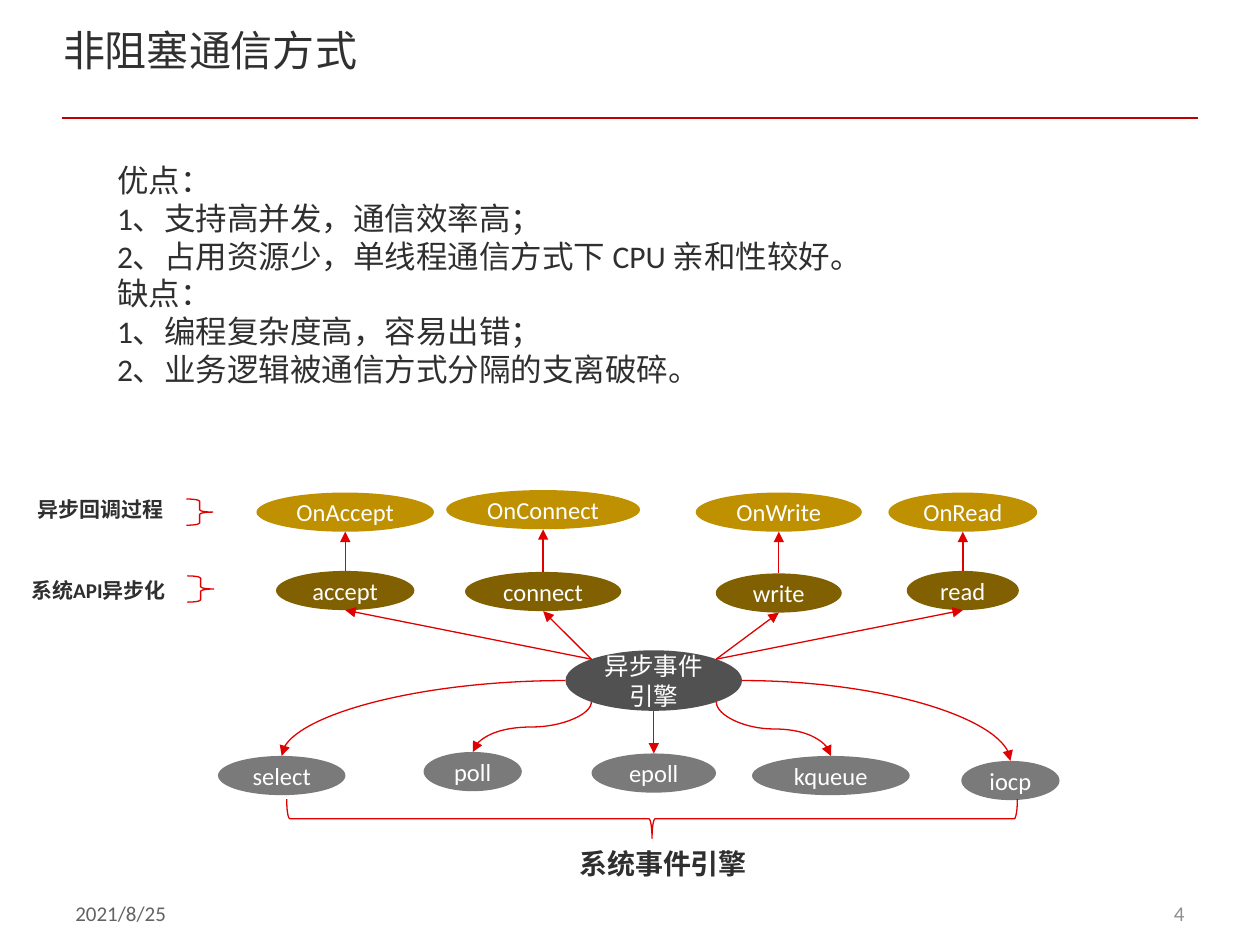
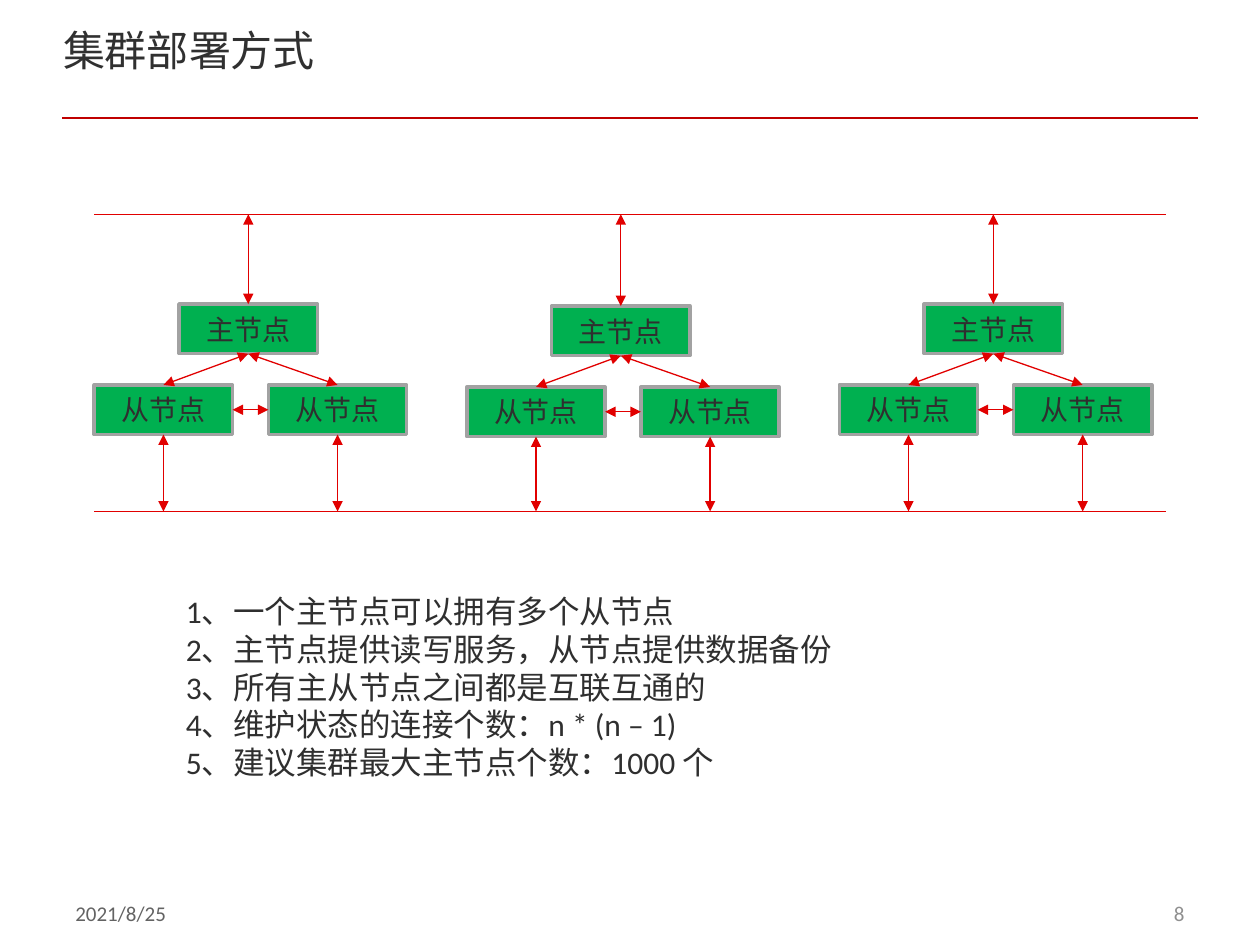
import pptx
import pptx.util
import pptx.dml.color
import pptx.enum.shapes
import pptx.enum.text
import pptx.oxml.ns
from lxml import etree

Cm, Pt = pptx.util.Cm, pptx.util.Pt
SHAPE = pptx.enum.shapes.MSO_SHAPE
LINK = pptx.enum.shapes.MSO_CONNECTOR
ANCHOR = pptx.enum.text.MSO_ANCHOR
ALIGN = pptx.enum.text.PP_ALIGN
qn = pptx.oxml.ns.qn

FONT, TITLE_FONT = "Calibri", "Noto Sans CJK SC"
INK, TITLE_INK, WHITE = "2F2F2F", "303030", "FFFFFF"
RED, RULE_RED = "E10000", "C00000"
DATE_GREY, NUMBER_GREY = "636363", "8F8F8F"
HUB_GREY, ENGINE_GREY = "515151", "7A7A7A"
GOLD, BROWN = "BF9000", "806000"
GREEN, BORDER = "00B050", "A2A2A2"

DATE = "2021/8/25"

PROS_CONS = [
    "优点：",
    "1、支持高并发，通信效率高；",
    "2、占用资源少，单线程通信方式下 CPU 亲和性较好。",
    "缺点：",
    "1、编程复杂度高，容易出错；",
    "2、业务逻辑被通信方式分隔的支离破碎。",
]
HUB = ("异步事件引擎", 13.18, 13.11, 3.56, 1.22)
OVAL_H = 0.79
# name, width, top
CALLS = [
    (6.96, ("OnAccept", 3.58, 9.93), ("accept", 2.79, 11.51)),
    (10.95, ("OnConnect", 3.91, 9.88), ("connect", 3.15, 11.53)),
    (15.7, ("OnWrite", 3.35, 9.93), ("write", 2.54, 11.56)),
    (19.41, ("OnRead", 3.0, 9.93), ("read", 2.26, 11.51)),
]
ENGINES = [
    ("select", 5.68, 2.57, 15.24),
    ("poll", 9.53, 1.98, 15.16),
    ("epoll", 13.18, 2.51, 15.19),
    ("kqueue", 16.75, 3.18, 15.24),
    ("iocp", 20.37, 1.98, 15.34),
]
ROW_LABELS = [
    ("异步回调过程", 0.5, 9.88, 3.76, 10.06),
    ("系统API异步化", 0.38, 11.51, 3.78, 11.61),
]
ENGINE_LABEL = "系统事件引擎"

MASTER, SLAVE = "主节点", "从节点"
CLUSTER_LEFT, CLUSTER_STEP = 1.9, 7.51
CLUSTER_TOPS = [6.13, 6.17, 6.13]
NODE_W, NODE_H = 2.79, 1.0
MASTER_DX, SLAVE_DX, SLAVE_DY = 1.71, 3.51, 1.63
BUS_LEFT, BUS_RIGHT, BUS_TOP, BUS_BOTTOM = 1.9, 23.5, 4.32, 10.31
CLUSTER_NOTES = [
    "1、一个主节点可以拥有多个从节点",
    "2、主节点提供读写服务，从节点提供数据备份",
    "3、所有主从节点之间都是互联互通的",
    "4、维护状态的连接个数：n * (n – 1)",
    "5、建议集群最大主节点个数：1000 个",
]


def rgb(color):
    return pptx.dml.color.RGBColor.from_string(color)


def write(tf, lines, size, color, font=FONT, bold=False, align=ALIGN.LEFT):
    for i, line in enumerate(lines):
        p = tf.add_paragraph() if i else tf.paragraphs[0]
        p.alignment = align
        r = p.add_run()
        r.text = line
        r.font.size, r.font.name, r.font.bold = Pt(size), font, bold
        r.font.color.rgb = rgb(color)


def textbox(s, x, y, w, h, lines, size, color=INK, anchor=ANCHOR.TOP, **style):
    tf = s.shapes.add_textbox(Cm(x), Cm(y), Cm(w), Cm(h)).text_frame
    tf.word_wrap = True
    tf.vertical_anchor = anchor
    write(tf, lines, size, color, **style)


def shape(s, kind, x, y, w, h, fill=None, line=None, weight=0.75):
    sp = s.shapes.add_shape(kind, Cm(x), Cm(y), Cm(w), Cm(h))
    sp.shadow.inherit = False
    if fill:
        sp.fill.solid()
        sp.fill.fore_color.rgb = rgb(fill)
    else:
        sp.fill.background()
    if line:
        sp.line.color.rgb = rgb(line)
        sp.line.width = Pt(weight)
    else:
        sp.line.fill.background()
    return sp


def label(sp, text, size, color, wrap=False):
    tf = sp.text_frame
    tf.word_wrap = wrap
    tf.vertical_anchor = ANCHOR.MIDDLE
    tf.margin_left = tf.margin_right = Cm(0.2)
    write(tf, [text], size, color, align=ALIGN.CENTER)


def oval(s, text, cx, top, w, h, fill, wrap=False):
    label(shape(s, SHAPE.OVAL, cx - w / 2, top, w, h, fill), text, 14, WHITE, wrap)


def link(s, start, end, ends=("tailEnd",), color=RED, weight=0.75, kind=LINK.STRAIGHT):
    c = s.shapes.add_connector(kind, *(Cm(v) for v in (*start, *end)))
    c.line.color.rgb = rgb(color)
    c.line.width = Pt(weight)
    ln = c.line._get_or_add_ln()
    for name in ends:
        etree.SubElement(ln, qn("a:" + name)).set("type", "triangle")
    etree.SubElement(c._element.spPr, qn("a:effectLst"))
    return c


def both_ways(s, start, end):
    link(s, start, end, ("headEnd", "tailEnd"))


def side_curve(s, start, end):
    c = link(s, start, end, kind=LINK.CURVE)
    c._element.spPr.find(qn("a:prstGeom")).set("prst", "curvedConnector2")


def down_curve(s, start, end):
    (x1, y1), (x2, y2) = start, end
    cx, cy = (x1 + x2) / 2, (y1 + y2) / 2
    half_w, half_h = (y2 - y1) / 2, abs(x2 - x1) / 2
    turn = 90
    if x2 > x1:
        half_w, turn = -half_w, 270
    c = link(s, (cx - half_w, cy - half_h), (cx + half_w, cy + half_h), kind=LINK.CURVE)
    c._element.spPr.find(qn("a:xfrm")).set("rot", str(turn * 60000))


def new_slide(prs, title, number):
    s = prs.slides.add_slide(prs.slide_layouts[5])
    sp = s.shapes.title
    sp.left, sp.top, sp.width, sp.height = Cm(1.27), Cm(0.5), Cm(19.63), Cm(1.78)
    tf = sp.text_frame
    tf.margin_left = tf.margin_right = tf.margin_top = tf.margin_bottom = 0
    tf.vertical_anchor = ANCHOR.TOP
    write(tf, [title], 24, TITLE_INK, font=TITLE_FONT)
    link(s, (1.25, 2.38), (24.15, 2.38), (), RULE_RED, 1)
    textbox(s, 1.27, 17.73, 5.92, 1.34, [DATE], 12, DATE_GREY, ANCHOR.MIDDLE)
    textbox(s, 18.21, 17.73, 5.92, 1.34, [number], 12, NUMBER_GREY, ANCHOR.MIDDLE,
            align=ALIGN.RIGHT)
    return s


def nonblocking_slide(prs):
    s = new_slide(prs, "非阻塞通信方式", "4")
    textbox(s, 2.11, 3.12, 21.8, 4.88, PROS_CONS, 18)

    name, hub_x, hub_top, hub_w, hub_h = HUB
    hub_y = hub_top + hub_h / 2
    corner_x, corner_y = hub_w / 8 ** 0.5, hub_h / 8 ** 0.5
    oval(s, name, hub_x, hub_top, hub_w, hub_h, HUB_GREY, wrap=True)

    for i, (name, x, w, top) in enumerate(ENGINES):
        oval(s, name, x, top, w, OVAL_H, ENGINE_GREY)
        side = (x > hub_x) - (x < hub_x)
        if i in (0, len(ENGINES) - 1):
            side_curve(s, (hub_x + side * hub_w / 2, hub_y), (x, top))
        elif side:
            down_curve(s, (hub_x + side * corner_x, hub_y + corner_y), (x, top))
        else:
            down_curve(s, (hub_x, hub_top + hub_h), (x, top))

    for x, (callback, cb_w, cb_top), (api, api_w, api_top) in CALLS:
        oval(s, callback, x, cb_top, cb_w, OVAL_H, GOLD)
        oval(s, api, x, api_top, api_w, OVAL_H, BROWN)
        link(s, (x, api_top), (x, cb_top + OVAL_H))
        side = 1 if x > hub_x else -1
        link(s, (hub_x + side * corner_x, hub_y - corner_y), (x, api_top + OVAL_H))

    brace = shape(s, SHAPE.LEFT_BRACE, 12.75, 9.14, 0.79, 14.73, line=RED)
    brace.rotation = 270
    brace.adjustments[0], brace.adjustments[1] = 0.08, 0.5
    textbox(s, 11.43, 16.94, 3.94, 0.94, [ENGINE_LABEL], 16, bold=True)
    for text, x, y, brace_x, brace_y in ROW_LABELS:
        textbox(s, x, y, 3.25, 0.76, [text], 12, bold=True)
        shape(s, SHAPE.RIGHT_BRACE, brace_x, brace_y, 0.53, 0.53, line=RED)


def node(s, text, x, y):
    label(shape(s, SHAPE.RECTANGLE, x, y, NODE_W, NODE_H, GREEN, BORDER, 2), text, 16, INK)


def cluster_slide(prs):
    s = new_slide(prs, "集群部署方式", "8")
    for y in (BUS_TOP, BUS_BOTTOM):
        link(s, (BUS_LEFT, y), (BUS_RIGHT, y), ())
    for i, top in enumerate(CLUSTER_TOPS):
        left = CLUSTER_LEFT + i * CLUSTER_STEP
        slave_top = top + SLAVE_DY
        master_x = left + MASTER_DX + NODE_W / 2
        node(s, MASTER, left + MASTER_DX, top)
        both_ways(s, (master_x, BUS_TOP), (master_x, top))
        for x in (left, left + SLAVE_DX):
            mid = x + NODE_W / 2
            node(s, SLAVE, x, slave_top)
            both_ways(s, (master_x, top + NODE_H), (mid, slave_top))
            both_ways(s, (mid, slave_top + NODE_H), (mid, BUS_BOTTOM))
        mid_y = slave_top + NODE_H / 2
        both_ways(s, (left + NODE_W, mid_y), (left + SLAVE_DX, mid_y))
    textbox(s, 3.5, 11.81, 17.6, 4.11, CLUSTER_NOTES, 18)


def main():
    prs = pptx.Presentation()
    prs.slide_width, prs.slide_height = Cm(25.4), Cm(19.05)
    nonblocking_slide(prs)
    cluster_slide(prs)
    prs.save("out.pptx")


if __name__ == "__main__":
    main()
